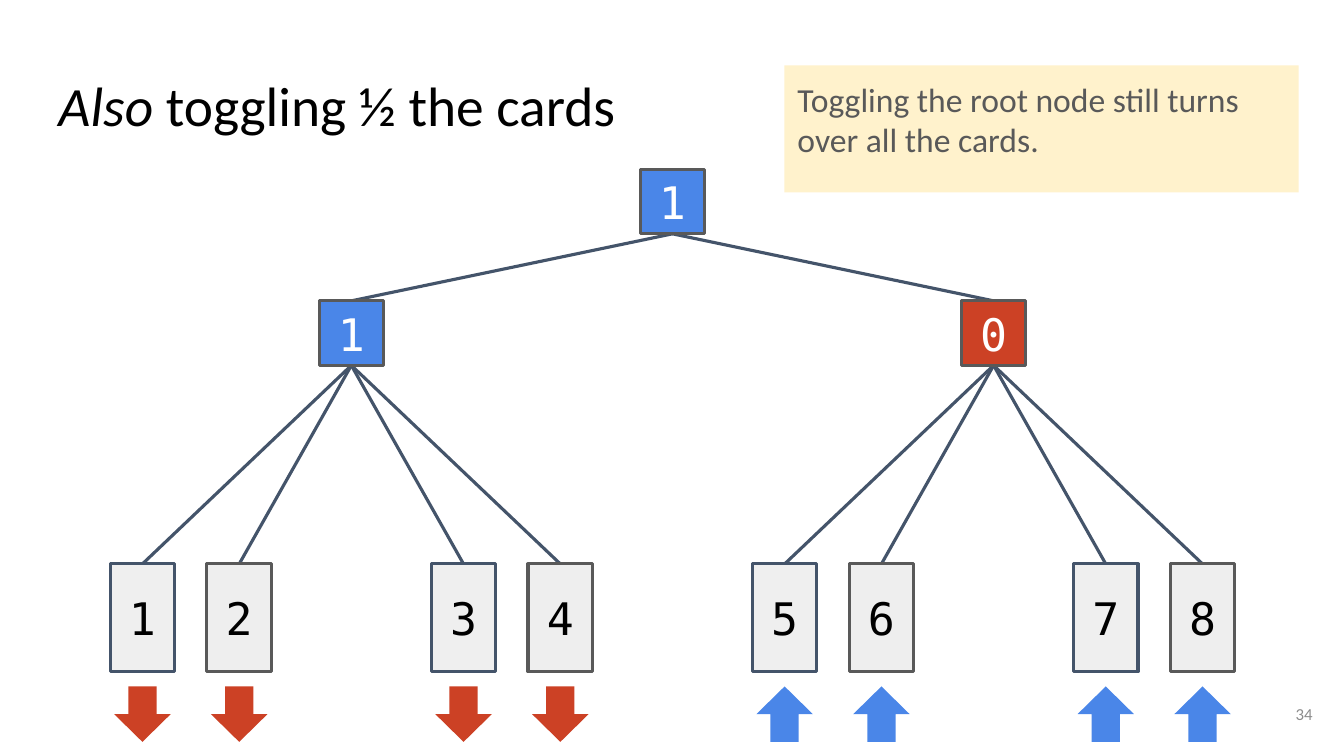
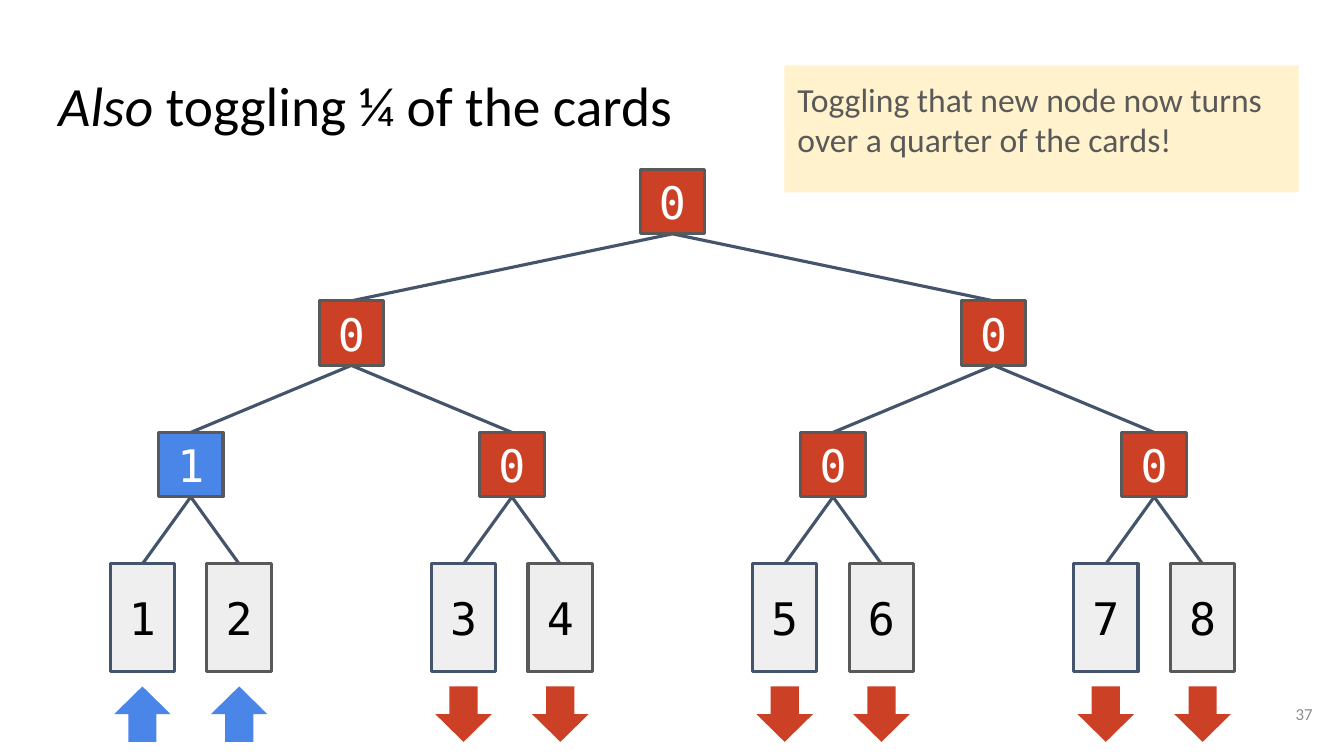
from pptx import Presentation
from pptx.dml.color import RGBColor
from pptx.enum.shapes import MSO_CONNECTOR as Link, MSO_SHAPE as Form
from pptx.enum.text import MSO_ANCHOR as Anchor, PP_ALIGN as Align
from pptx.oxml.ns import qn
from pptx.util import Inches, Pt
from lxml import etree

HUES = {
    "ink": "000000", "white": "FFFFFF", "edge": "44546A", "gray": "595959",
    "odd": "EFEFEF", "even": "EEEEEE", "up": "4A86E8", "down": "CC4125",
    "note": "FFF2CC", "page": "8C8C8C",
}
SANS, MONO = "Calibri", "DejaVu Sans Mono"

MID, SPAN = 6.67, 12.74      # centre and full width of the tree
TOP, STEP = 1.68, 1.305      # top of the root, distance between levels
SIDE, TALL = 0.64, 1.07      # node side (and card width), card height
CARDS, DEPTH = 8, 3          # number of cards and their level
SHIFT = 0.48                 # card centre from the centre of its pair

# Title words, note, page number, node bits per level
SLIDES = [
    (["Also", " toggling ½ the cards"],
     "Toggling the root node still turns over all the cards.",
     "34", [[1], [1, 0]]),
    (["Also", " toggling ¼ of the cards"],
     "Toggling that new node now turns over a quarter of the cards!",
     "37", [[0], [0, 0], [1, 0, 0, 0]]),
]


def write(box, words, size, hue, font=SANS, align=Align.LEFT,
          anchor=Anchor.TOP, inset=0.13):
    """Fill the box with one paragraph, one run per word; return it."""
    frame = box.text_frame
    frame.word_wrap = True
    frame.vertical_anchor = anchor
    frame.margin_left = frame.margin_right = Inches(inset)
    frame.margin_top = frame.margin_bottom = Inches(inset)
    para = frame.paragraphs[0]
    para.alignment = align
    for word in words:
        run = para.add_run()
        run.text = word
        run.font.name, run.font.size = font, Pt(size)
        run.font.color.rgb = RGBColor.from_string(HUES[hue])
    return para


def block(slide, form, x, y, w, h, fill, line=None):
    shape = slide.shapes.add_shape(form, Inches(x), Inches(y), Inches(w), Inches(h))
    shape.shadow.inherit = False
    shape.fill.solid()
    shape.fill.fore_color.rgb = RGBColor.from_string(HUES[fill])
    if line:
        shape.line.color.rgb = RGBColor.from_string(HUES[line])
        shape.line.width = Pt(2.25)
    else:
        shape.line.fill.background()
    return shape


deck = Presentation()
deck.slide_width, deck.slide_height = Inches(13.33), Inches(7.5)

# Node centres by level, then card centres in pairs
rows = [[MID + SPAN * ((i + 0.5) / 2**d - 0.5) for i in range(2**d)]
        for d in range(DEPTH)]
cards = [x + side for x in rows[-1] for side in (-SHIFT, SHIFT)]
base = TOP + DEPTH * STEP

for title, note, page, tree in SLIDES:
    slide = deck.slides.add_slide(deck.slide_layouts[6])

    head = slide.shapes.add_textbox(Inches(0.45), Inches(0.65), Inches(12.42), Inches(0.84))
    para = write(head, title, 39.6, "ink")
    para.line_spacing = 0.9
    para.runs[0].font.italic = True

    # Edges from each level to the next, the last one to the cards
    for d, bits in enumerate(tree):
        last = d == len(tree) - 1
        kids = cards if last else rows[d + 1]
        foot = TOP + d * STEP + SIDE
        goal = base if last else TOP + (d + 1) * STEP
        for i, x in enumerate(kids):
            start = rows[d][i * len(bits) // len(kids)]
            edge = slide.shapes.add_connector(
                Link.STRAIGHT, Inches(start), Inches(foot), Inches(x), Inches(goal))
            edge.line.color.rgb = RGBColor.from_string(HUES["edge"])
            edge.line.width = Pt(2.25)
            etree.SubElement(edge._element.spPr, qn("a:effectLst"))

    for d, bits in enumerate(tree):
        for x, bit in zip(rows[d], bits):
            node = block(slide, Form.RECTANGLE, x - SIDE / 2, TOP + d * STEP,
                         SIDE, SIDE, "up" if bit else "down", "gray")
            write(node, [str(bit)], 32, "white", MONO, Align.CENTER, Anchor.MIDDLE, 0)

    for i, x in enumerate(cards):
        fill, line = ("even", "gray") if i % 2 else ("odd", "edge")
        card = block(slide, Form.RECTANGLE, x - SIDE / 2, base, SIDE, TALL, fill, line)
        write(card, [str(i + 1)], 32, "ink", MONO, Align.CENTER, Anchor.MIDDLE, 0)

        # A card faces up when the bits above it add up to an odd number
        face = sum(bits[i * len(bits) // CARDS] for bits in tree) % 2
        arrow = block(slide, Form.UP_ARROW, x - 0.28, 6.81, 0.56, 0.55,
                      "up" if face else "down")
        arrow.rotation = 0 if face else 180

    hint = block(slide, Form.RECTANGLE, 7.78, 0.65, 5.1, 1.26, "note")
    write(hint, [note], 24, "gray")

    foot = slide.shapes.add_textbox(Inches(12.35), Inches(6.8), Inches(0.8), Inches(0.57))
    write(foot, [page], 12, "page", align=Align.RIGHT, anchor=Anchor.MIDDLE)

deck.save("out.pptx")
